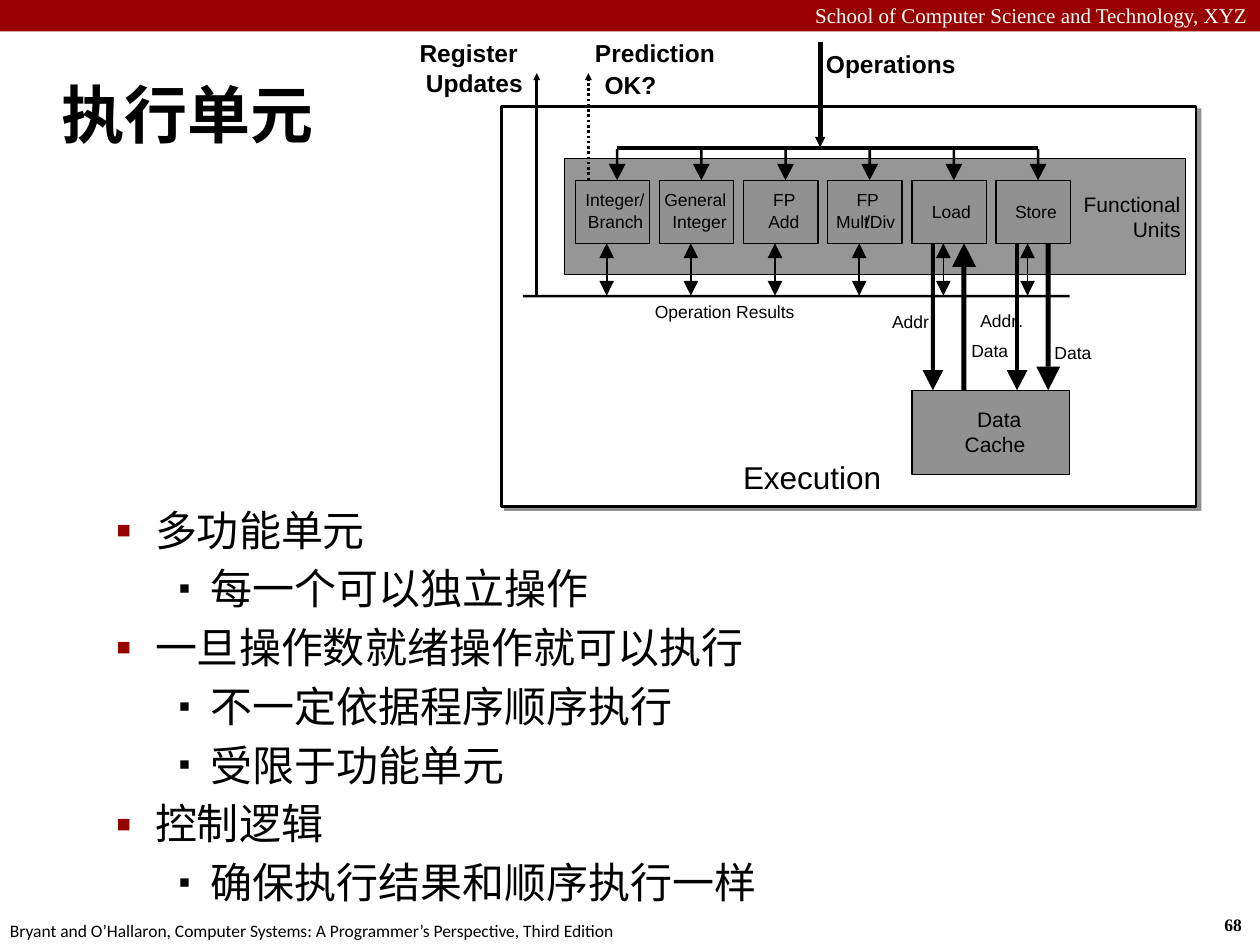
import dataclasses

import pptx
import pptx.dml.color
import pptx.enum.dml
import pptx.enum.shapes
import pptx.enum.text
import pptx.oxml
import pptx.oxml.ns
import pptx.util

Pt = pptx.util.Pt
RGB = pptx.dml.color.RGBColor.from_string
ALIGN = pptx.enum.text.PP_ALIGN
ANCHOR = pptx.enum.text.MSO_ANCHOR
RECT = pptx.enum.shapes.MSO_SHAPE.RECTANGLE
NS = pptx.oxml.ns.nsdecls("a")


@dataclasses.dataclass(frozen=True)
class Theme:
    red: str = "990000"
    black: str = "000000"
    white: str = "FFFFFF"
    box: str = "919191"
    band: str = "969696"
    sans: str = "Arial"
    body: str = "Calibri"
    serif: str = "Times New Roman"
    title_size: float = 36
    body_size: float = 24
    caption: float = 18
    port: float = 14
    label: float = 12
    small: float = 10


T = Theme()


# Shared helpers: every box is (left, top, width, height) in points
def add_rect(shapes, box, fill, line=None):
    sp = shapes.add_shape(RECT, *map(Pt, box))
    sp.shadow.inherit = False
    sp.fill.solid()
    sp.fill.fore_color.rgb = RGB(fill)
    if line:
        sp.line.color.rgb = RGB(T.black)
        sp.line.width = Pt(line)
    else:
        sp.line.fill.background()
    return sp


def add_text(shapes, box, lines, size, font, color=T.black, bold=False,
             align=ALIGN.LEFT, wrap=False):
    sp = shapes.add_textbox(*map(Pt, box))
    tf = sp.text_frame
    tf.word_wrap = wrap
    tf.text = lines
    for p in tf.paragraphs:
        p.alignment = align
        for r in p.runs:
            r.font.size, r.font.name, r.font.bold = Pt(size), font, bold
            r.font.color.rgb = RGB(color)
    return tf


def add_label(shapes, x, y, w, text, size=T.small, bold=False, align=ALIGN.CENTER):
    slack = 2  # room on both sides so that a word never breaks
    left = x if align == ALIGN.LEFT else x - slack
    tf = add_text(shapes, (left, y, w + 2 * slack, size * 1.08), text, size, T.sans,
                  bold=bold, align=align)
    tf.margin_left = tf.margin_top = tf.margin_right = tf.margin_bottom = 0
    tf.auto_size = pptx.enum.text.MSO_AUTO_SIZE.SHAPE_TO_FIT_TEXT
    tf.paragraphs[0].line_spacing = 0.9


def add_line(shapes, x, y1, y2, width, arrow=False, dash=None):
    cn = shapes.add_connector(pptx.enum.shapes.MSO_CONNECTOR.STRAIGHT,
                              Pt(x), Pt(y1), Pt(x), Pt(y2))
    cn.line.color.rgb = RGB(T.black)
    cn.line.width = Pt(width)
    if dash:
        cn.line.dash_style = dash
    if arrow:
        cn.line._get_or_add_ln().append(
            pptx.oxml.parse_xml(f'<a:tailEnd {NS} type="triangle" w="sm" len="sm"/>'))
    cn._element.spPr.append(pptx.oxml.parse_xml(f"<a:effectLst {NS}/>"))


def add_head(shapes, x, tip, base, width):
    fb = shapes.build_freeform(Pt(x - width / 2), Pt(base))
    fb.add_line_segments([(Pt(x), Pt(tip)), (Pt(x + width / 2), Pt(base))])
    sp = fb.convert_to_shape()
    sp.shadow.inherit = False
    sp.fill.solid()
    sp.fill.fore_color.rgb = RGB(T.black)
    sp.line.fill.background()


def add_block_arrow(shapes, x, start, tip, shaft, head_w, head_h):
    base = tip - head_h if tip > start else tip + head_h
    add_rect(shapes, (x - shaft / 2, min(start, base), shaft, abs(base - start)), T.black)
    add_head(shapes, x, tip, base, head_w)


# Slide regions
def header(s, box):
    x, y, w, h = box
    add_rect(s.shapes, box, T.red)
    tf = add_text(s.shapes, (x, y - 2.2, w, 21.6),
                  "School of Computer Science and Technology, XYZ", 12, T.serif,
                  T.white, align=ALIGN.RIGHT, wrap=True)
    tf.vertical_anchor = ANCHOR.TOP


def footer(s, box):
    x, y, w, h = box
    add_text(s.shapes, (x + w - 27.4, y, 26.6, h), "68", T.small, T.serif, bold=True)
    add_text(s.shapes, (x - 1.4, y + 3, 365.8, h),
             "Bryant and O’Hallaron, Computer Systems: A Programmer’s Perspective, Third Edition",
             T.small, T.body)


def title(s, box):
    tf = add_text(s.shapes, box, "执行单元", T.title_size, T.body, bold=True, wrap=True)
    tf.vertical_anchor = ANCHOR.MIDDLE
    pPr = tf.paragraphs[0]._p.get_or_add_pPr()
    pPr.set("marL", str(Pt(9)))
    pPr.set("indent", str(Pt(-9)))


def bullets(s, box):
    items = [(0, "多功能单元"), (1, "每一个可以独立操作"),
             (0, "一旦操作数就绪操作就可以执行"), (1, "不一定依据程序顺序执行"),
             (1, "受限于功能单元"), (0, "控制逻辑"), (1, "确保执行结果和顺序执行一样")]
    # margin, indent, bullet size, bullet colour for each level
    levels = [(58.5, -22.5, 110, T.red), (90, -18, 80, T.black)]
    tf = add_text(s.shapes, box, "\n".join(text for _, text in items),
                  T.body_size, T.body, wrap=True)
    for p, (level, _) in zip(tf.paragraphs, items):
        margin, indent, size, color = levels[level]
        p.level = level + 1
        pPr = p._p.get_or_add_pPr()
        pPr.set("marL", str(Pt(margin)))
        pPr.set("indent", str(Pt(indent)))
        for xml in (f'<a:spcBef {NS}><a:spcPct val="20000"/></a:spcBef>',
                    f'<a:buClr {NS}><a:srgbClr val="{color}"/></a:buClr>',
                    f'<a:buSzPct {NS} val="{size * 1000}"/>',
                    f'<a:buFont {NS} typeface="{T.sans}"/>',
                    f'<a:buChar {NS} char="▪"/>'):
            pPr.append(pptx.oxml.parse_xml(xml))


def execution_diagram(s, box):
    x, y, w, h = box
    g = s.shapes.add_group_shape().shapes
    unit_w, unit_h, pitch = 42.5, 36, 48.1
    unit_top, bus = y + 42, y + 108
    unit_bottom = unit_top + unit_h
    units = [  # label parts: dx, dy, width, text
        [(5.8, 6.5, 33.8, "Integer/"), (7.2, 18.7, 31.7, "Branch")],
        [(2.5, 6.5, 36, "General"), (7.4, 18.7, 31, "Integer")],
        [(16.8, 6.5, 13, "FP"), (14, 18.7, 18, "Add")],
        [(16.3, 6.5, 13, "FP"), (4.8, 18.7, 18.7, "Mult"), (21.3, 18.7, 17.3, "/Div")],
        [(11.4, 13, 22.3, "Load")],
        [(10.8, 13, 23.8, "Store")],
    ]
    lefts = [x + 42.2 + i * pitch for i in range(len(units))]

    # Frame with offset shadow, and functional unit band
    add_rect(g, (x + 1.5, y + 1, w + 1.5, h + 1.5), T.box)
    add_rect(g, box, T.white, 1.5)
    add_label(g, x + 137.6, y + 203.2, 80, "Execution", T.caption)
    add_rect(g, (x + 36, y + 29.7, 355, 66.2), T.band, 0.75)
    add_label(g, x + 332.7, y + 49.9, 55.5, "Functional", T.label)
    add_label(g, x + 360.8, y + 64.3, 27.4, "Units", T.label)

    # Dispatch bar and result bus
    add_rect(g, (lefts[0] + 24, y + 22.5, 5 * pitch, 2.2), T.black)
    add_rect(g, (x + 12.3, bus - 0.5, 312.5, 1.5), T.black)
    add_label(g, x + 87.2, y + 112.5, 80.6, "Operation Results")

    # Units, each with a dispatch arrow and a two-way result arrow
    for left, parts in zip(lefts, units):
        add_rect(g, (left, unit_top, unit_w, unit_h), T.box, 0.75)
        for dx, dy, lw, text in parts:
            add_label(g, left + dx, unit_top + dy, lw, text)
        add_block_arrow(g, left + 24, y + 24, unit_top, 1.5, 9.7, 9.4)
        add_line(g, left + 18, unit_bottom + 8, bus - 8, 1)
        add_head(g, left + 18, unit_bottom, unit_bottom + 8.5, 8.4)
        add_head(g, left + 18, bus, bus - 8.5, 8.4)

    # Data cache and its address and data arrows
    load, store = lefts[4:]
    cache = y + 162
    add_rect(g, (load, cache, 90, 48.2), T.box, 0.75)
    add_label(g, load + 37.4, cache + 10.8, 25, "Data", T.label)
    add_label(g, load + 30.2, cache + 25.2, 34.6, "Cache", T.label)
    for left in (load, store):
        add_block_arrow(g, left + 12, unit_bottom, cache, 2.2, 11.9, 11.5)
    add_block_arrow(g, load + 29.8, cache, unit_bottom, 2.9, 13.7, 13.5)
    add_block_arrow(g, store + 29.8, unit_bottom, cache, 2.9, 13.7, 13.5)
    for dx, dy in ((223.3, 118.3), (273.7, 117.6)):
        add_label(g, x + dx, y + dy, 21, "Addr")
        add_label(g, x + dx + 21.6, y + dy, 2.9, ".")
    for dx, dy in ((268.6, 134.8), (316.1, 135.6)):
        add_label(g, x + dx, y + dy, 21, "Data")

    # Ports above the frame
    for dx, dy, lw, text in ((-46.7, -37.2, 56, "Register"), (-43.1, -20, 55.4, "Updates"),
                             (53.3, -37.2, 69, "Prediction"), (59.1, -19.2, 29.5, "OK?")):
        add_label(g, x + dx, y + dy, lw, text, T.port, True)
    add_label(g, x + 185.5, y - 31, 74, "Operations", T.port, True, ALIGN.LEFT)
    add_line(g, x + 20.2, bus, y - 19.2, 1.5, arrow=True)
    add_line(g, x + 49.7, unit_top, y - 19.2, 1.5, arrow=True,
             dash=pptx.enum.dml.MSO_LINE.ROUND_DOT)
    add_line(g, x + 182.2, y - 37.2, y + 23.2, 3, arrow=True)


def main():
    prs = pptx.Presentation()
    prs.slide_width, prs.slide_height = Pt(720), Pt(540)
    s = prs.slides.add_slide(prs.slide_layouts[6])
    header(s, (0, 0, 720, 18))
    footer(s, (0, 519, 720, 19.4))
    title(s, (28, 34.5, 692, 60))
    bullets(s, (23, 284.5, 663, 246))
    execution_diagram(s, (286.5, 61, 397, 228.5))
    prs.save("out.pptx")


if __name__ == "__main__":
    main()
